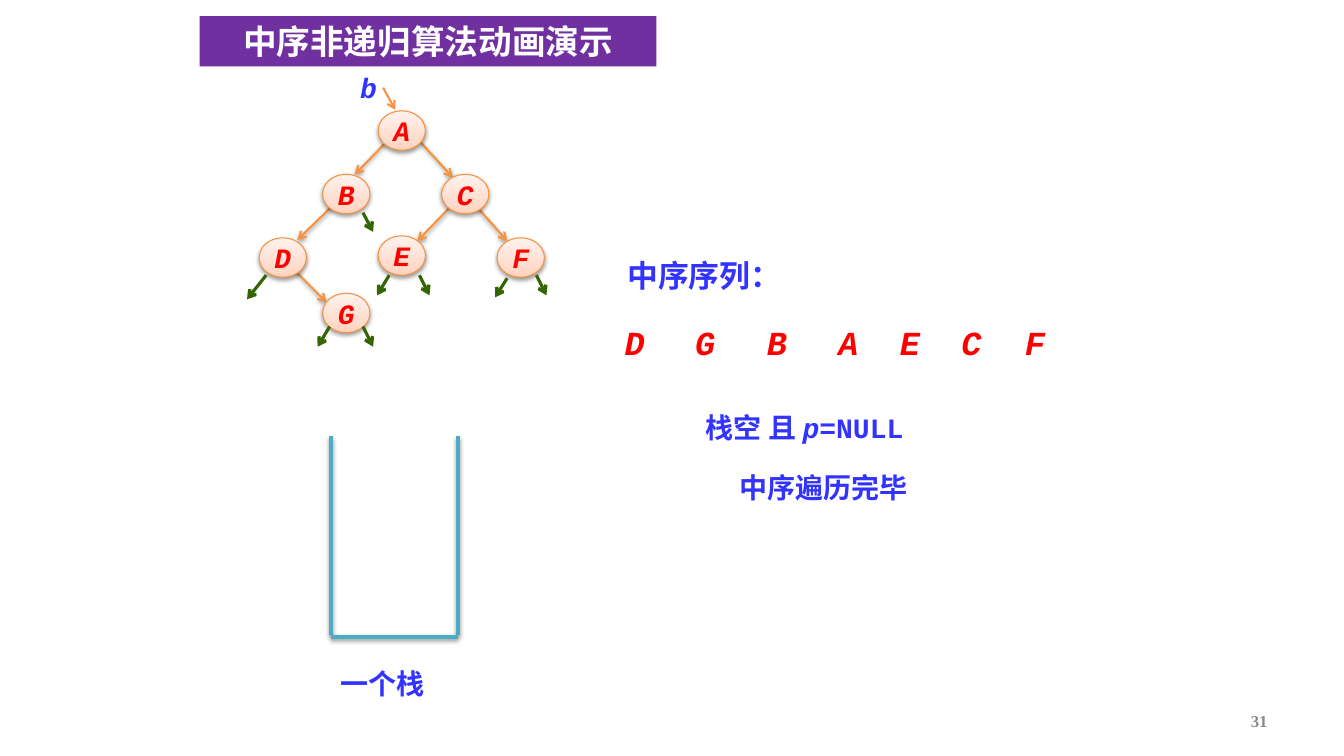
from dataclasses import dataclass
from typing import NamedTuple

from lxml import etree
from pptx import Presentation
from pptx import util as u
from pptx.dml.color import RGBColor
from pptx.enum import shapes, text
from pptx.oxml import ns


@dataclass(frozen=True)
class Theme:
    code: str = "Courier New"
    serif: str = "Times New Roman"
    blue: str = "3333FF"
    red: str = "FF0000"
    white: str = "FFFFFF"
    grey: str = "8C8C8C"
    purple: str = "7030A0"
    orange: str = "F69240"
    green: str = "336600"
    teal: str = "4BACC6"
    black: str = "000000"
    node_stops: tuple = ((0, "FFD2BD"), (35, "FFDED0"), (100, "FFF2ED"))
    big: int = 24
    heading: int = 22
    body: int = 20
    small: int = 12


T = Theme()


class Node(NamedTuple):
    name: str
    left: float
    top: float


class Line(NamedTuple):
    x1: float
    y1: float
    x2: float
    y2: float


class LineStyle(NamedTuple):
    color: str
    width: float
    arrow: bool
    shadow: bool


class Label(NamedTuple):
    words: tuple  # one entry per run
    left: float
    top: float
    width: float
    height: float
    size: int = T.body
    color: str = T.blue
    font: str = T.code
    align: text.PP_ALIGN = text.PP_ALIGN.CENTER
    italic: tuple = (False,)
    inset: bool = True


LEFT, RIGHT = text.PP_ALIGN.LEFT, text.PP_ALIGN.RIGHT
NODE_W, NODE_H = 0.47, 0.39

NODES = [
    Node("A", 3.75, 1.1), Node("B", 3.2, 1.73), Node("C", 4.38, 1.73),
    Node("D", 2.57, 2.36), Node("E", 3.75, 2.34), Node("F", 4.93, 2.36),
    Node("G", 3.2, 2.91),
]
EDGES = [
    Line(2.92, 2.68, 3.24, 3), Line(3.83, 1.41, 3.52, 1.73),
    Line(4.17, 1.41, 4.49, 1.76), Line(3.31, 2.03, 2.95, 2.38),
    Line(4.45, 2.07, 4.14, 2.39), Line(4.71, 2.03, 5.03, 2.39),
]
NULL_LINKS = [
    Line(3.6, 3.24, 3.7, 3.44), Line(3.27, 3.24, 3.15, 3.44),
    Line(4.16, 2.73, 4.26, 2.93), Line(3.86, 2.73, 3.74, 2.93),
    Line(5.32, 2.73, 5.42, 2.93), Line(5.03, 2.76, 4.91, 2.95),
    Line(2.64, 2.73, 2.45, 2.97), Line(3.6, 2.11, 3.7, 2.3),
]
ROOT_POINTER = [Line(3.8, 0.87, 3.92, 1.09)]
STACK = [
    Line(3.28, 4.33, 3.28, 6.3), Line(4.54, 4.33, 4.54, 6.3),
    Line(3.28, 6.32, 4.54, 6.32),
]
VISITS = {"D": 6.06, "G": 6.76, "B": 7.47, "A": 8.18, "E": 8.79, "C": 9.4, "F": 10.03}

LABELS = [
    Label(("一个栈",), 3.28, 6.56, 1.26, 0.44, align=LEFT),
    Label(("中序序列：",), 6.04, 2.49, 1.89, 0.47, T.heading),
    Label(("中序遍历完毕",), 6.67, 4.61, 2.99, 0.44),
    Label(("栈空 且 ", "p", "=NULL"), 6.9, 4.02, 2.5, 0.44, align=LEFT,
          italic=(False, True, False)),
    Label(("b",), 3.46, 0.7, 0.39, 0.34, italic=(True,), inset=False),
    Label(("31",), 9.56, 6.95, 3.11, 0.4, T.small, T.grey, T.serif, RIGHT),
] + [
    Label((name,), left, 3.19, 0.47, 0.4, T.big, T.red, italic=(True,), inset=False)
    for name, left in VISITS.items()
]


def add_xml(parent, tag: str, **attrs):
    return etree.SubElement(parent, ns.qn(tag), {k: str(v) for k, v in attrs.items()})


def add_color(parent, color: str, alpha: int = 100) -> None:
    clr = add_xml(parent, "a:srgbClr", val=color)
    if alpha < 100:
        add_xml(clr, "a:alpha", val=alpha * 1000)


def add_shadow(effects, alpha: int = 38) -> None:
    shadow = add_xml(effects, "a:outerShdw", blurRad=u.Pt(3.1), dist=u.Pt(1.6),
                     dir=90 * 60000, rotWithShape=0)
    add_color(shadow, T.black, alpha)


def style_run(r, font: str, size: int, color: str, italic: bool) -> None:
    r.font.name, r.font.size = font, u.Pt(size)
    r.font.bold, r.font.italic = True, italic
    r.font.color.rgb = RGBColor.from_string(color)


def add_line(s, line: Line, style: LineStyle) -> None:
    cx = s.shapes.add_connector(shapes.MSO_CONNECTOR.STRAIGHT, *map(u.Inches, line))
    cx.line.color.rgb = RGBColor.from_string(style.color)
    cx.line.width = u.Pt(style.width)
    sp_pr = cx._element.spPr
    if style.arrow:
        add_xml(sp_pr.find(ns.qn("a:ln")), "a:tailEnd", type="arrow")
    effects = add_xml(sp_pr, "a:effectLst")
    if style.shadow:
        add_shadow(effects)


def add_node(s, node: Node) -> None:
    sp = s.shapes.add_shape(shapes.MSO_SHAPE.OVAL, u.Inches(node.left), u.Inches(node.top),
                            u.Inches(NODE_W), u.Inches(NODE_H))
    sp.fill.gradient()
    sp.fill.gradient_angle = 90
    stops = sp._element.spPr.find(".//" + ns.qn("a:gsLst"))
    for stop in list(stops):
        stops.remove(stop)
    for pos, color in T.node_stops:
        add_color(add_xml(stops, "a:gs", pos=pos * 1000), color)
    sp.line.color.rgb = RGBColor.from_string(T.orange)
    sp.line.width = u.Pt(0.75)
    sp.shadow.inherit = False
    add_shadow(sp._element.spPr.find(ns.qn("a:effectLst")))
    tf = sp.text_frame
    tf.text = node.name
    tf.word_wrap = False
    tf.vertical_anchor = text.MSO_ANCHOR.MIDDLE
    p = tf.paragraphs[0]
    p.alignment = text.PP_ALIGN.CENTER
    style_run(p.runs[0], T.code, T.body, T.red, True)


def fill_label(sp, label: Label) -> None:
    tf = sp.text_frame
    tf.text = label.words[0]
    tf.word_wrap = True
    tf.vertical_anchor = text.MSO_ANCHOR.MIDDLE
    if not label.inset:
        tf.margin_left = tf.margin_right = tf.margin_top = tf.margin_bottom = 0
    p = tf.paragraphs[0]
    p.alignment = label.align
    for word in label.words[1:]:
        p.add_run().text = word
    for r, italic in zip(p.runs, label.italic):
        style_run(r, label.font, label.size, label.color, italic)


def add_label(s, label: Label) -> None:
    fill_label(s.shapes.add_textbox(*map(u.Inches, label[1:5])), label)


def add_title(s, label: Label) -> None:
    sp = s.shapes.add_shape(shapes.MSO_SHAPE.RECTANGLE, *map(u.Inches, label[1:5]))
    sp.shadow.inherit = False
    sp.fill.solid()
    sp.fill.fore_color.rgb = RGBColor.from_string(T.purple)
    sp.line.fill.background()
    fill_label(sp, label)


def main() -> None:
    prs = Presentation()
    prs.slide_width, prs.slide_height = u.Inches(13.33), u.Inches(7.5)
    s = prs.slides.add_slide(prs.slide_layouts[6])

    # Tree edges, then nodes over them
    for line in EDGES:
        add_line(s, line, LineStyle(T.orange, 1.5, True, True))
    for node in NODES:
        add_node(s, node)

    # Stack, null links and root pointer
    for lines, style in (
        (STACK, LineStyle(T.teal, 3, False, True)),
        (NULL_LINKS, LineStyle(T.green, 2.25, True, False)),
        (ROOT_POINTER, LineStyle(T.orange, 1.5, True, False)),
    ):
        for line in lines:
            add_line(s, line, style)

    # Title and labels
    add_title(s, Label(("中序非递归算法动画演示",), 1.98, 0.16, 4.53, 0.5,
                       T.big, T.white, T.serif))
    for label in LABELS:
        add_label(s, label)

    prs.save("out.pptx")


if __name__ == "__main__":
    main()
